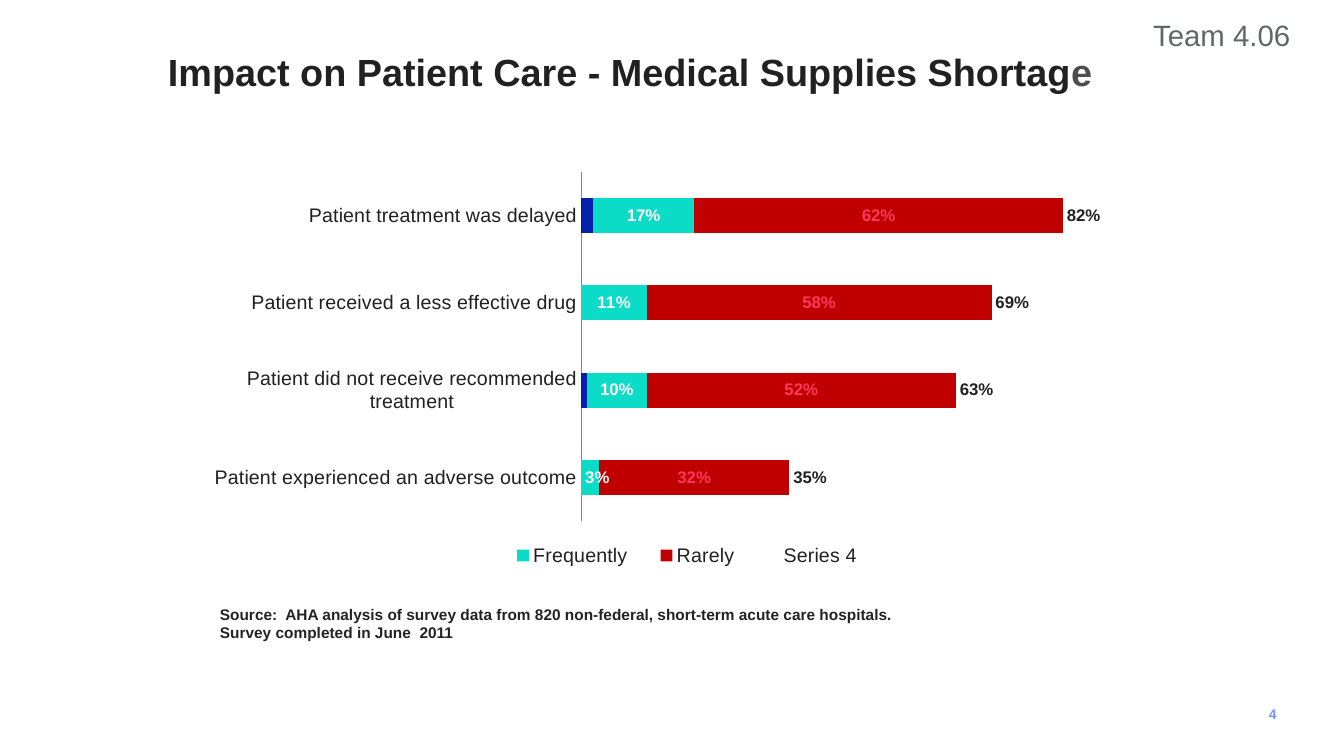
from lxml import etree
from pptx import Presentation
from pptx.chart.data import CategoryChartData
from pptx.dml.color import RGBColor
from pptx.enum import chart as charts, text
from pptx.oxml import ns
from pptx.util import Pt

INK = "212121"
CATEGORIES = [
    "Patient experienced an adverse outcome",
    "Patient did not receive recommended treatment",
    "Patient received a less effective drug",
    "Patient treatment was delayed",
]
SERIES = [
    ("Always", (0, 0.01, 0, 0.02), "0420AC", None),
    ("Frequently", (0.03, 0.1, 0.11, 0.17), "0BDCC7", "FFFFFF"),
    ("Rarely", (0.32, 0.52, 0.58, 0.62), "C00000", "FE375D"),
    ("Series 4", (0.35, 0.63, 0.69, 0.82), None, INK),
]
NARROWEST_LABELLED = 0.05


def colour(value):
    return RGBColor.from_string(value)


def apply(target, values):
    for name, value in values.items():
        setattr(target, name, value)


def set_font(font, size, hue, bold=False):
    apply(font, {"name": "Arial", "size": Pt(size), "bold": bold})
    font.color.rgb = colour(hue)


def add_text(page, place, paragraphs, size, bold=True, inset=(0, 0),
             wrap=True, anchor=text.MSO_ANCHOR.TOP):
    box = page.shapes.add_textbox(*map(Pt, place))
    frame = box.text_frame
    side, edge = map(Pt, inset)
    apply(frame, {
        "margin_left": side, "margin_right": side,
        "margin_top": edge, "margin_bottom": edge,
        "word_wrap": wrap, "vertical_anchor": anchor,
    })
    for index, spans in enumerate(paragraphs):
        para = frame.paragraphs[0] if index == 0 else frame.add_paragraph()
        for words, hue in spans:
            span = para.add_run()
            span.text = words
            set_font(span.font, size, hue, bold)


def set_layout(parent, index, values):
    for old in parent.findall(ns.qn("c:layout")):
        parent.remove(old)
    layout = etree.Element(ns.qn("c:layout"))
    manual = etree.SubElement(layout, ns.qn("c:manualLayout"))
    for name, value in values.items():
        etree.SubElement(manual, ns.qn("c:" + name)).set("val", str(value))
    parent.insert(index, layout)


def style_series(series, fill, label):
    if fill:
        series.format.fill.solid()
        series.format.fill.fore_color.rgb = colour(fill)
    else:
        series.format.fill.background()
    if label:
        position = charts.XL_LABEL_POSITION
        labels = series.data_labels
        apply(labels, {
            "show_value": True,
            "number_format": "0%",
            "number_format_is_linked": False,
            "position": position.CENTER if fill else position.INSIDE_BASE,
        })
        set_font(labels.font, 12, label, True)
        for index, value in enumerate(series.values):
            if value < NARROWEST_LABELLED:
                point_label = series.points[index].data_label
                set_font(point_label.font, 12, label, True)
                point_label.position = position.INSIDE_BASE


def style_axes(chart):
    no_ticks = {
        "has_major_gridlines": False,
        "major_tick_mark": charts.XL_TICK_MARK.NONE,
        "minor_tick_mark": charts.XL_TICK_MARK.NONE,
    }
    apply(chart.category_axis, no_ticks)
    set_font(chart.category_axis.tick_labels.font, 14, INK)
    line = chart.category_axis.format.line
    line.color.rgb = colour("868686")
    line.width = Pt(0.75)
    apply(chart.value_axis, no_ticks | {
        "minimum_scale": 0, "maximum_scale": 1, "visible": False,
    })


def style_legend(chart):
    chart.has_legend = True
    legend = chart.legend
    apply(legend, {
        "position": charts.XL_LEGEND_POSITION.RIGHT,
        "include_in_layout": False,
    })
    set_font(legend.font, 14, INK)
    element = legend._element
    entry = etree.Element(ns.qn("c:legendEntry"))
    etree.SubElement(entry, ns.qn("c:idx")).set("val", "3")
    etree.SubElement(entry, ns.qn("c:delete")).set("val", "1")
    element.insert(1, entry)
    set_layout(element, 2, {
        "xMode": "edge", "yMode": "edge",
        "x": 0.32, "y": 0.88, "w": 0.39, "h": 0.1,
    })


def add_bars(page, place):
    data = CategoryChartData(number_format="0%")
    data.categories = CATEGORIES
    for name, values, _, _ in SERIES:
        data.add_series(name, values)
    chart = page.shapes.add_chart(
        charts.XL_CHART_TYPE.BAR_STACKED, *map(Pt, place), data).chart
    chart.has_title = False
    set_font(chart.font, 18, INK)
    plot = chart.plots[0]
    apply(plot, {"gap_width": 150, "overlap": 100, "vary_by_categories": False})
    for series, (_, _, fill, label) in zip(plot.series, SERIES):
        style_series(series, fill, label)
    style_axes(chart)
    style_legend(chart)
    set_layout(chart._chartSpace.chart.plotArea, 0, {
        "layoutTarget": "inner", "xMode": "edge", "yMode": "edge",
        "x": 0.41, "y": 0.03, "w": 0.59, "h": 0.82,
    })


def main():
    deck = Presentation()
    apply(deck, {"slide_width": Pt(960), "slide_height": Pt(540)})
    page = deck.slides.add_slide(deck.slide_layouts[6])
    add_text(page, (120, 34.6, 704, 6), [[
        ("Impact on Patient Care - Medical Supplies Shortag", INK),
        ("e", "4D4D4D"),
    ]], 27)
    add_bars(page, (120, 113.5, 720, 304.6))
    add_text(page, (150, 428.4, 656, 44), [
        [("Source:  AHA analysis of survey data from 820 non-federal, "
          "short-term acute care hospitals.", "232323")],
        [("Survey completed in June  2011", "232323")],
    ], 11, inset=(7.2, 3.6))
    add_text(page, (823.7, 12.2, 98.6, 25.2), [[("Team 4.06", "63666A")]],
             21, bold=False, wrap=False)
    add_text(page, (899.3, 497.5, 30.2, 25.2), [[("4", "7C91FB")]], 10,
             inset=(7.2, 3.6), anchor=text.MSO_ANCHOR.MIDDLE)
    deck.save("out.pptx")


if __name__ == "__main__":
    main()
